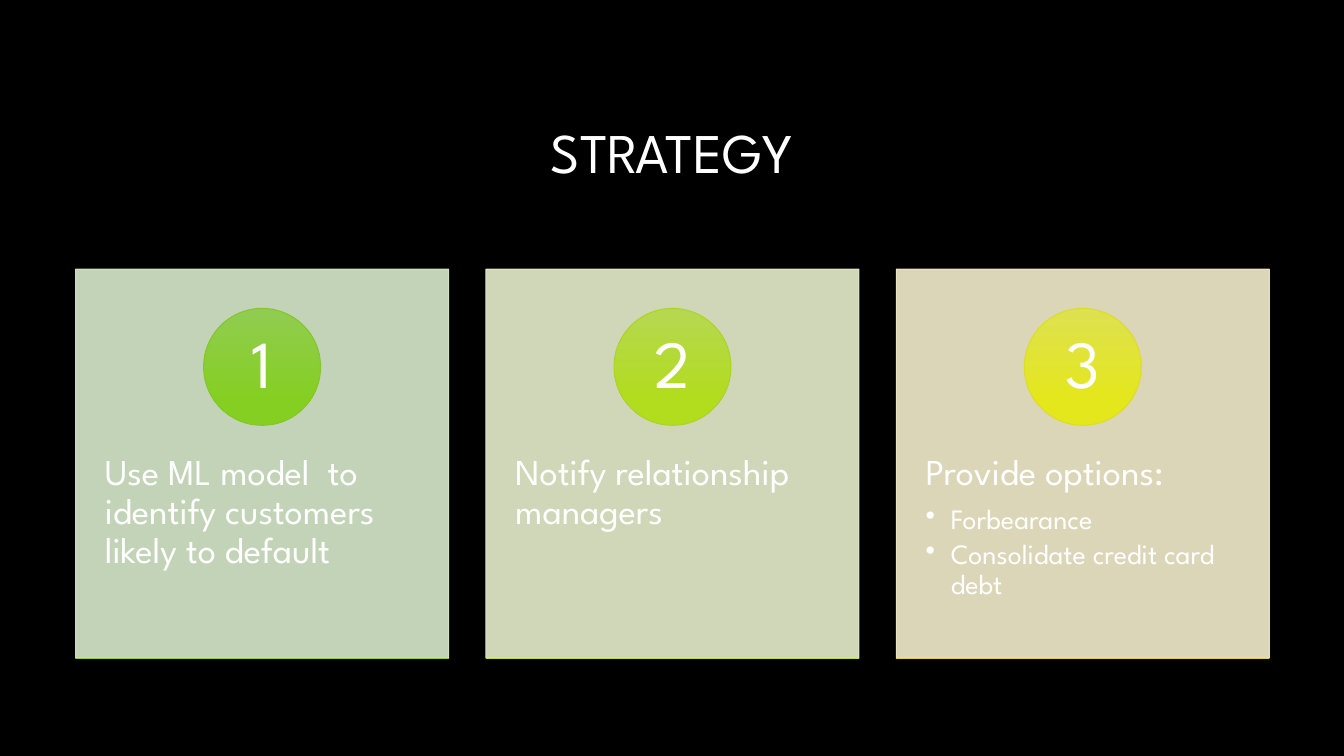
from lxml import etree
from pptx import Presentation
from pptx.dml.color import RGBColor
from pptx.enum.shapes import MSO_CONNECTOR as Connector, MSO_SHAPE as Shape
from pptx.enum.text import MSO_ANCHOR as Anchor, PP_ALIGN as Align
from pptx.oxml.ns import qn
from pptx.util import Inches, Pt

# Content: heading, bullets and colours of each step
TITLE = "STRATEGY"
STEPS = [
    {"text": "Use ML model  to identify customers likely to default", "bullets": [],
     "card": "D9EBCD", "circle": ("91CC51", "85CF22"), "ring": "84C72A", "rule": "98CD28"},
    {"text": "Notify relationship managers", "bullets": [],
     "card": "E7EFCD", "circle": ("B5D850", "B2DC1E"), "ring": "ADD426", "rule": "C4DA24"},
    {"text": "Provide options:", "bullets": ["Forbearance", "Consolidate credit card debt"],
     "card": "F4EECD", "circle": ("DEE150", "E4E71C"), "ring": "DBDE25", "rule": "E1D126"},
]


class Theme:
    font = "League Spartan"
    background = "000000"
    text = "FFFFFF"
    title_size, number_size, heading_size, bullet_size = 40, 48, 26, 20
    card_opacity = 90
    line_width = 0.75


# Layout in inches
LEFT, CARD_TOP, CARD_WIDTH, CARD_HEIGHT = 0.75, 2.67, 3.7, 3.86
CARD_STEP = 4.07
CIRCLE_TOP, CIRCLE_SIZE = 3.06, 1.16
BODY_TOP, BODY_HEIGHT = 4.14, 2.32
BULLET_INDENT = 0.25


def color(value):
    return RGBColor.from_string(value)


def box(*lengths):
    return [Inches(length) for length in lengths]


def set_margins(frame, horizontal, vertical):
    frame.margin_left = frame.margin_right = Inches(horizontal)
    frame.margin_top = frame.margin_bottom = Inches(vertical)


def write(paragraph, text, size, align=Align.LEFT, space_after=0):
    paragraph.text = text
    paragraph.alignment = align
    paragraph.line_spacing = 0.9
    paragraph.space_after = Pt(space_after)
    paragraph.font.name = Theme.font
    paragraph.font.size = Pt(size)
    paragraph.font.color.rgb = color(Theme.text)


def add_bullet(paragraph):
    properties = paragraph._p.get_or_add_pPr()
    properties.set("marL", str(Inches(BULLET_INDENT)))
    properties.set("indent", str(-Inches(BULLET_INDENT)))
    bullet = etree.Element(qn("a:buChar"), char="•")
    properties.find(qn("a:defRPr")).addprevious(bullet)


def set_opacity(fill_parent):
    solid = fill_parent.find(qn("a:solidFill"))
    etree.SubElement(solid[0], qn("a:alpha"), val=str(Theme.card_opacity * 1000))


def add_text_box(slide, *lengths):
    frame = slide.shapes.add_textbox(*box(*lengths)).text_frame
    frame.word_wrap = True
    return frame


def add_outlined(slide, kind, line_color, *lengths):
    shape = slide.shapes.add_shape(kind, *box(*lengths))
    shape.shadow.inherit = False
    shape.line.color.rgb = color(line_color)
    shape.line.width = Pt(Theme.line_width)
    return shape


def add_step(slide, index, step):
    left = LEFT + index * CARD_STEP

    # Card
    card = add_outlined(slide, Shape.RECTANGLE, step["card"],
                        left, CARD_TOP, CARD_WIDTH, CARD_HEIGHT)
    card.fill.solid()
    card.fill.fore_color.rgb = color(step["card"])
    set_opacity(card._element.spPr)
    set_opacity(card.line._ln)

    # Heading and bullets
    body = add_text_box(slide, left, BODY_TOP, CARD_WIDTH, BODY_HEIGHT)
    set_margins(body, 0.29, 0.36)
    write(body.paragraphs[0], step["text"], Theme.heading_size, space_after=9)
    for text in step["bullets"]:
        paragraph = body.add_paragraph()
        paragraph.level = 1
        write(paragraph, text, Theme.bullet_size, space_after=3)
        add_bullet(paragraph)

    # Numbered circle
    circle_left = left + (CARD_WIDTH - CIRCLE_SIZE) / 2
    circle = add_outlined(slide, Shape.OVAL, step["ring"],
                          circle_left, CIRCLE_TOP, CIRCLE_SIZE, CIRCLE_SIZE)
    circle.fill.gradient()
    circle.fill.gradient_angle = 270
    for stop, position, value in zip(circle.fill.gradient_stops, (0, 0.78), step["circle"]):
        stop.position = position
        stop.color.rgb = color(value)
    number = circle.text_frame
    number.vertical_anchor = Anchor.MIDDLE
    set_margins(number, 0.09, 0.01)
    write(number.paragraphs[0], str(index + 1), Theme.number_size, Align.CENTER)

    # Rule along the bottom edge
    bottom = CARD_TOP + CARD_HEIGHT
    rule = slide.shapes.add_connector(
        Connector.STRAIGHT, *box(left, bottom, left + CARD_WIDTH, bottom))
    rule.line.color.rgb = color(step["rule"])
    rule.line.width = Pt(Theme.line_width)
    etree.SubElement(rule._element.spPr, qn("a:effectLst"))


def main():
    presentation = Presentation()
    presentation.slide_width, presentation.slide_height = box(13.33, 7.5)
    slide = presentation.slides.add_slide(presentation.slide_layouts[6])
    slide.background.fill.solid()
    slide.background.fill.fore_color.rgb = color(Theme.background)

    # Title
    title = add_text_box(slide, LEFT, 0.84, 11.83, 1.41)
    title.vertical_anchor = Anchor.MIDDLE
    write(title.paragraphs[0], TITLE, Theme.title_size, Align.CENTER)

    for index, step in enumerate(STEPS):
        add_step(slide, index, step)
    presentation.save("out.pptx")


if __name__ == "__main__":
    main()
